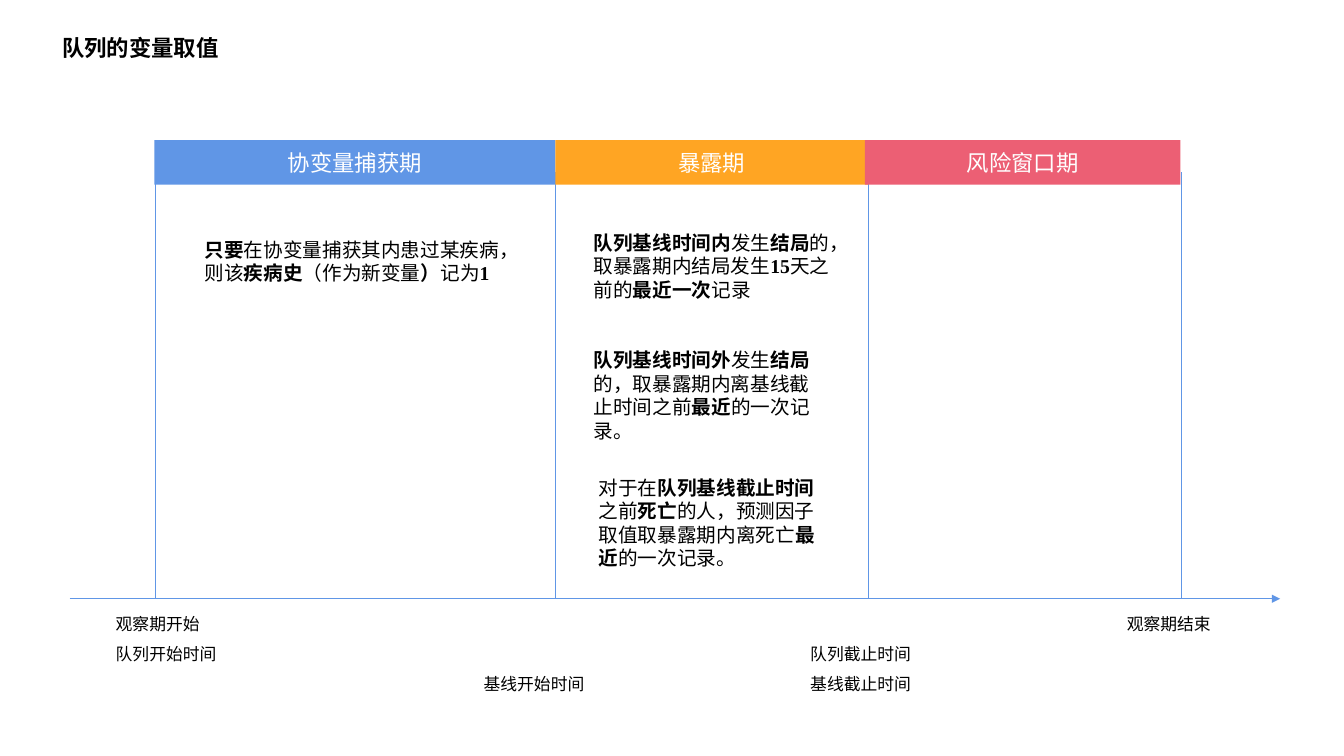
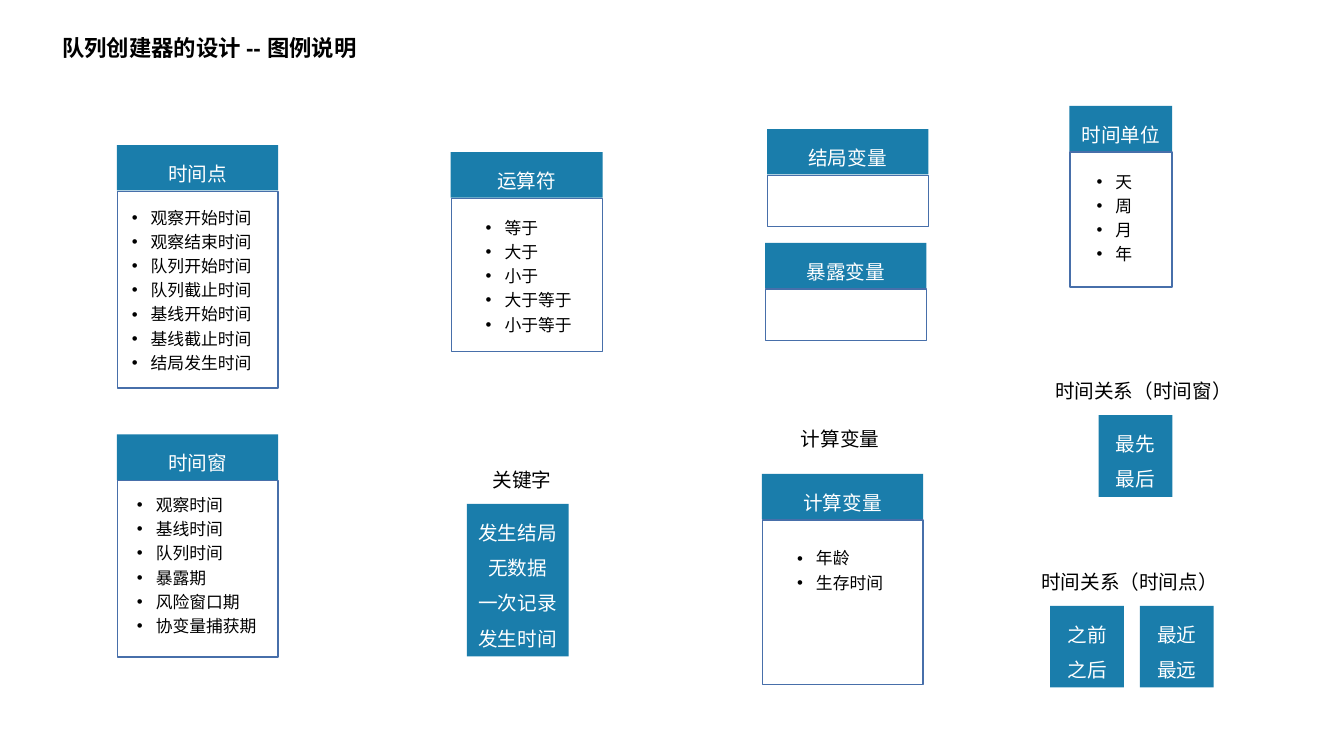
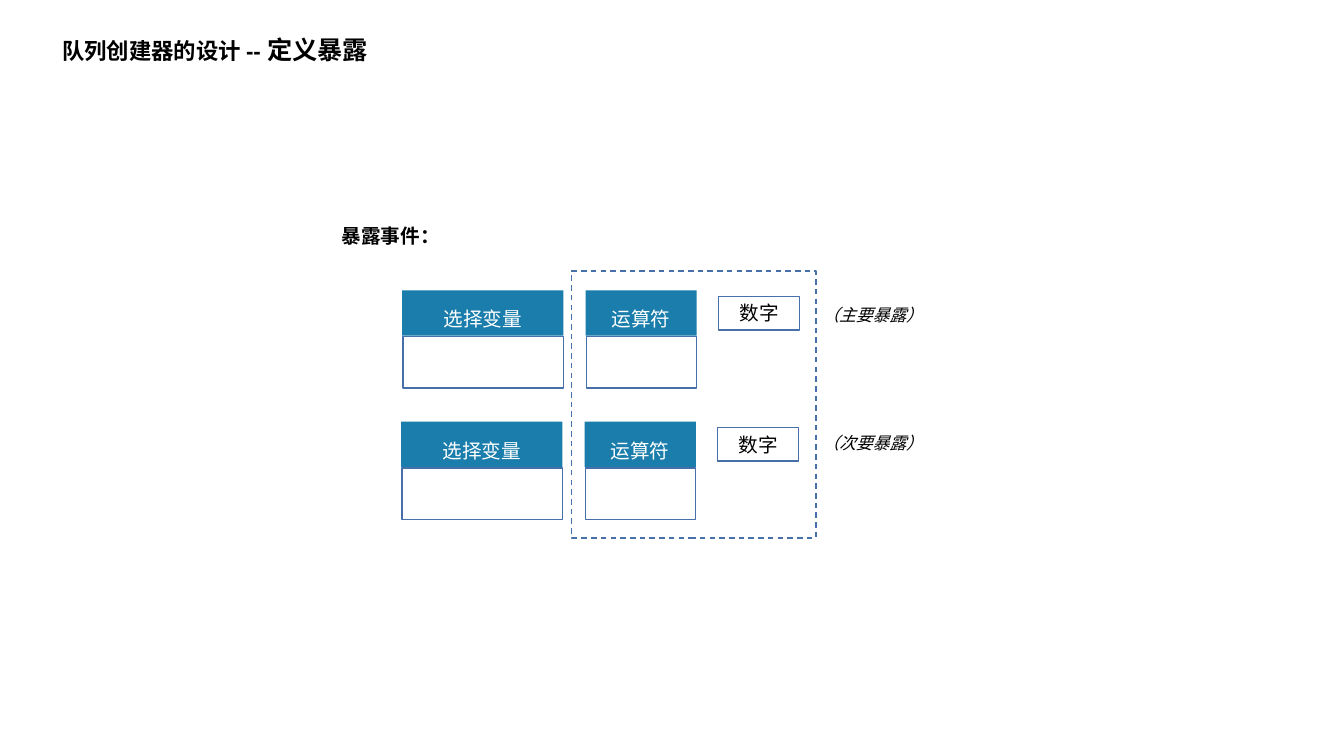
from lxml import etree
from pptx import Presentation
from pptx.dml.color import RGBColor
from pptx.enum.dml import MSO_LINE
from pptx.enum.shapes import MSO_CONNECTOR, MSO_SHAPE
from pptx.enum.text import MSO_ANCHOR, PP_ALIGN
from pptx.oxml.ns import qn
from pptx.util import Pt

RECT, STRAIGHT, DASH = MSO_SHAPE.RECTANGLE, MSO_CONNECTOR.STRAIGHT, MSO_LINE.DASH
LEFT, CENTER = PP_ALIGN.LEFT, PP_ALIGN.CENTER
TOP, MIDDLE = MSO_ANCHOR.TOP, MSO_ANCHOR.MIDDLE

COLORS = {
    "text": "000000",
    "white": "FFFFFF",
    "header": "1A7DAB",
    "border": "476FAA",
    "axis": "6096E6",
    "covariate": "6096E6",
    "exposure": "FFA523",
    "risk": "EC5F74",
}
FONT, NUMBER_FONT = "Arial", "Times New Roman"
HEADER_H = 32.4
BULLET_INDENT = 13.5


def rgb(name):
    return RGBColor.from_string(COLORS[name])


def rich(text):
    """Split text into runs: parts between asterisks are bold, numbers get their own font."""
    return [(part, {"bold": i % 2 == 1, "font": NUMBER_FONT if part.isdigit() else FONT})
            for i, part in enumerate(text.split("*")) if part]


def add_bullet(p):
    pPr = p._p.get_or_add_pPr()
    pPr.set("marL", str(Pt(BULLET_INDENT)))
    pPr.set("indent", str(-Pt(BULLET_INDENT)))
    etree.SubElement(pPr, qn("a:buFont"), typeface=FONT)
    etree.SubElement(pPr, qn("a:buChar"), char="•")


def write(tf, paragraphs, size=14, color="text", font=FONT, bold=False, italic=False,
          align=LEFT, spacing=None, anchor=TOP, bullet=False):
    """Fill a text frame; a paragraph is a string or a list of (text, overrides) runs."""
    tf.word_wrap = True
    tf.vertical_anchor = anchor
    base = {"size": size, "font": font, "bold": bold}
    for i, runs in enumerate(paragraphs):
        p = tf.paragraphs[0] if i == 0 else tf.add_paragraph()
        p.alignment = align
        if spacing:
            p.line_spacing = spacing
        if bullet:
            add_bullet(p)
        for text, overrides in [(runs, {})] if isinstance(runs, str) else runs:
            style = {**base, **overrides}
            r = p.add_run()
            r.text = text
            r.font.name = style["font"]
            r.font.size = Pt(style["size"])
            r.font.bold = style["bold"]
            r.font.italic = italic
            r.font.color.rgb = rgb(color)


def add_text(s, x, y, w, h, paragraphs, **fmt):
    sp = s.shapes.add_textbox(Pt(x), Pt(y), Pt(w), Pt(h))
    write(sp.text_frame, paragraphs, **fmt)


def add_box(s, x, y, w, h, paragraphs=(), fill=None, line=None, dash=None, **fmt):
    sp = s.shapes.add_shape(RECT, Pt(x), Pt(y), Pt(w), Pt(h))
    sp.shadow.inherit = False
    if fill:
        sp.fill.solid()
        sp.fill.fore_color.rgb = rgb(fill)
    else:
        sp.fill.background()
    if line:
        sp.line.color.rgb = rgb(line)
        sp.line.width = Pt(1)
    else:
        sp.line.fill.background()
    if dash:
        sp.line.dash_style = dash
    if paragraphs:
        write(sp.text_frame, paragraphs, **fmt)


def add_line(s, x1, y1, x2, y2, arrow=False):
    cn = s.shapes.add_connector(STRAIGHT, Pt(x1), Pt(y1), Pt(x2), Pt(y2))
    cn.line.color.rgb = rgb("axis")
    cn.line.width = Pt(0.5)
    if arrow:
        etree.SubElement(cn.line._get_or_add_ln(), qn("a:tailEnd"), type="triangle")
    etree.SubElement(cn._element.spPr, qn("a:effectLst"))


def add_tile(s, x, y, w, h, lines):
    """Solid tile with one or more centred words."""
    add_box(s, x, y, w, h, lines, fill="header", color="white", align=CENTER, spacing=1.5)


def add_card(s, x, y, w, body_h, title, items=(), dx=0, dy=0):
    """Header tile over an outlined body; dx and dy place the list from the card's corner."""
    add_tile(s, x, y, w, HEADER_H, [title])
    add_box(s, x + 0.5, y + 33, w - 0.5, body_h, line="border")
    if items:
        add_text(s, x + dx, y + dy, w, 7.2 + 17.4 * len(items), items,
                 size=12, spacing=1.2, bullet=True)


def new_slide(prs, title):
    s = prs.slides.add_slide(prs.slide_layouts[6])
    add_text(s, 37.4, 20.9, 342, 26.6, [title], size=16, bold=True)
    return s


def build_timeline(prs):
    s = new_slide(prs, "队列的变量取值")
    axis_y, row_h = 427.7, 21.5

    for x, w, row, labels in [
        (75.6, 126.7, 0, ["观察期开始", "队列开始时间"]),
        (338.4, 153.4, 2, ["基线开始时间"]),
        (571.7, 146.2, 1, ["队列截止时间", "基线截止时间"]),
        (797.8, 114.5, 0, ["观察期结束"]),
    ]:
        add_text(s, x, axis_y + row * row_h, w, 7.2 + row_h * len(labels), labels,
                 size=12, spacing=1.5)

    add_line(s, 49.7, axis_y, 914.4, axis_y, arrow=True)
    for x in (111, 396.7, 620, 843.8):
        add_line(s, x, axis_y, x, 123)

    for x, w, name, fill in [
        (110.2, 286.5, "协变量捕获期", "covariate"),
        (396.7, 223.2, "暴露期", "exposure"),
        (617.8, 225.4, "风险窗口期", "risk"),
    ]:
        add_box(s, x, 100.1, w, 31.9, [name], fill=fill, size=16, color="white",
                align=CENTER, anchor=MIDDLE)

    for x, y, w, h, rule in [
        (139, 166.3, 229.7, 56.9,
         "*只要*在协变量捕获其内患过某疾病，则该*疾病史*（作为新变量*）*记为*1*"),
        (416.9, 161.3, 182.9, 54.7,
         "*队列基线时间内*发生*结局*的，取暴露期内结局发生*15*天之前的*最近一次*记录"),
        (416.9, 245, 182.2, 63.4,
         "*队列基线时间外*发生*结局*的，取暴露期内离基线截止时间之前*最近*的一次记录。"),
        (420.5, 336.2, 175.7, 82.8,
         "对于在*队列基线截止时间*之前*死亡*的人，预测因子取值取暴露期内离死亡*最近*的一次记录。"),
    ]:
        add_text(s, x, y, w, h, [rich(rule)])


def build_legend(prs):
    s = new_slide(prs, "队列创建器的设计 -- 图例说明")

    for card in [
        (83.5, 103.7, 115.2, 140.4, "时间点",
         ["观察开始时间", "观察结束时间", "队列开始时间", "队列截止时间",
          "基线开始时间", "基线截止时间", "结局发生时间"], 3.6, 38.1),
        (83.5, 310.3, 115.2, 126, "时间窗",
         ["观察时间", "基线时间", "队列时间", "暴露期", "风险窗口期", "协变量捕获期"], 7.2, 36.7),
        (321.8, 108.7, 108.7, 109.4, "运算符",
         ["等于", "大于", "小于", "大于等于", "小于等于"], 18, 40.3),
        (547.9, 92.2, 115.2, 36.7, "结局变量"),
        (546.5, 173.5, 115.2, 36.7, "暴露变量"),
        (544.3, 338.4, 115.2, 117.4, "计算变量", ["年龄", "生存时间"], 18, 46.8),
        (763.9, 75.6, 73.4, 96.5, "时间单位", ["天", "周", "月", "年"], 12.3, 40.3),
    ]:
        add_card(s, *card)

    for x, y, w, label, align in [
        (322.6, 330.5, 100.8, "关键字", CENTER),
        (532.8, 301.7, 134.6, "计算变量", CENTER),
        (743, 267.1, 147.6, "时间关系（时间窗）", CENTER),
        (736.6, 403.2, 142.6, "时间关系（时间点）", LEFT),
    ]:
        add_text(s, x, y, w, 24.5, [label], align=align)

    add_tile(s, 333.4, 360, 72.7, 108.9, ["发生结局", "无数据", "一次记录", "发生时间"])
    for x, y, words in [
        (784.8, 296.6, ["最先", "最后"]),
        (750.2, 432.7, ["之前", "之后"]),
        (814.3, 432.7, ["最近", "最远"]),
    ]:
        add_tile(s, x, y, 52.6, 58.3, words)


def build_exposure(prs):
    s = new_slide(prs, [("队列创建器的设计 -- ", {}), ("定义暴露", {"size": 18})])
    add_text(s, 236.9, 148.3, 97.2, 32.4, ["暴露事件："], bold=True, spacing=1.5)

    for x, y, note_y, note in [
        (287.3, 207.4, 213.8, "（主要暴露）"),
        (286.6, 301.2, 305.3, "（次要暴露）"),
    ]:
        add_card(s, x, y, 115.2, 36.7, "选择变量")
        add_card(s, x + 131, y, 79.4, 36.7, "运算符")
        add_box(s, x + 226, y + 4.2, 57.8, 24, ["数字"], line="border",
                align=CENTER, anchor=MIDDLE)
        add_text(s, 580.3, note_y, 90, 21.6, [note], size=12, italic=True)

    add_box(s, 408.4, 193.5, 174.5, 190.8, line="border", dash=DASH)


def main():
    prs = Presentation()
    prs.slide_width, prs.slide_height = Pt(960), Pt(540)
    build_timeline(prs)
    build_legend(prs)
    build_exposure(prs)
    prs.save("out.pptx")


if __name__ == "__main__":
    main()
